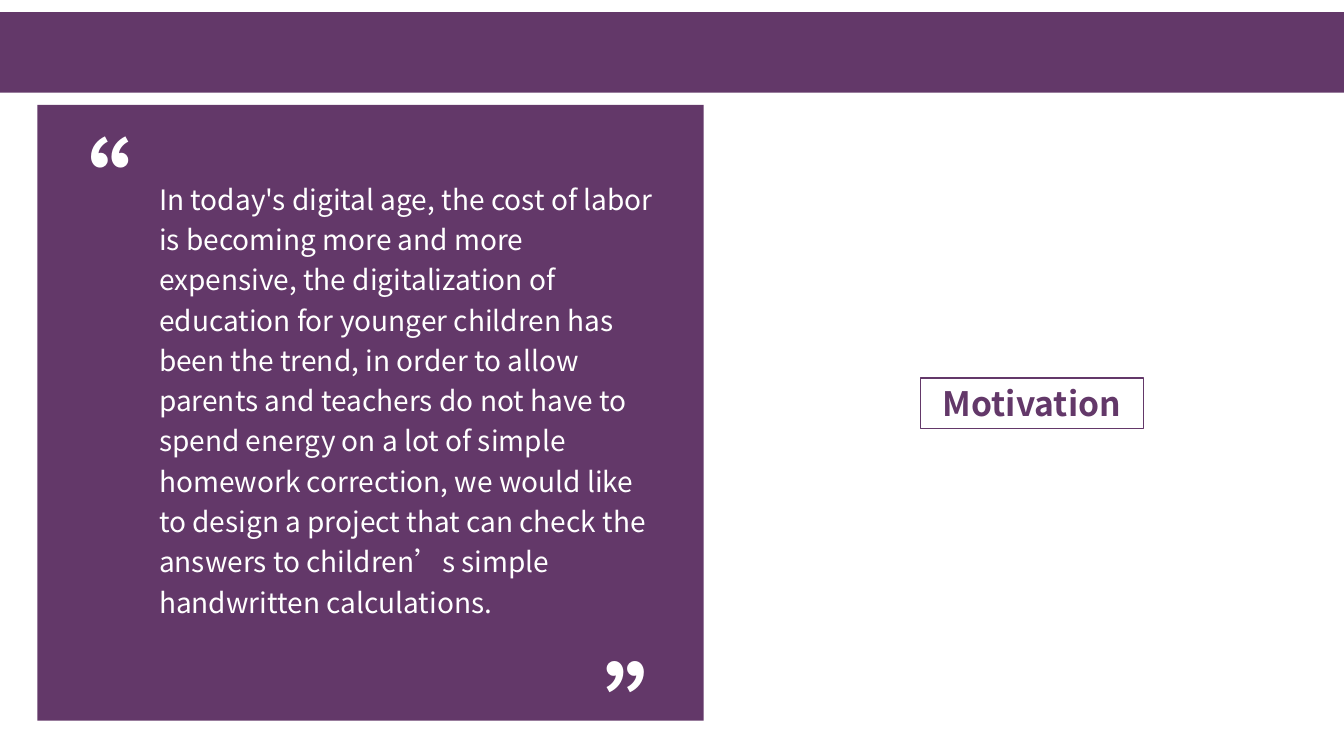
from dataclasses import dataclass

from lxml.etree import SubElement
from pptx import Presentation
from pptx.dml.color import RGBColor
from pptx.enum.shapes import MSO_SHAPE
from pptx.enum.text import MSO_ANCHOR, MSO_AUTO_SIZE, PP_ALIGN
from pptx.oxml.ns import qn
from pptx.util import Inches, Pt


@dataclass(frozen=True)
class Theme:
    purple: RGBColor = RGBColor(0x63, 0x38, 0x69)
    white: RGBColor = RGBColor(0xFF, 0xFF, 0xFF)
    font: str = "Noto Sans CJK SC"
    title_size: int = 24
    body_size: int = 20
    quote_size: int = 72


theme = Theme()


def place(shape, left, top, width, height):
    shape.left, shape.top = Inches(left), Inches(top)
    shape.width, shape.height = Inches(width), Inches(height)


def write(shape, text, size, color, bold, line_height):
    frame = shape.text_frame
    frame.word_wrap = True
    frame.auto_size = MSO_AUTO_SIZE.NONE
    frame.text = text
    paragraph = frame.paragraphs[0]
    paragraph.line_spacing = Pt(line_height)
    font = paragraph.runs[0].font
    font.name, font.size, font.bold = theme.font, Pt(size), bold
    font.color.rgb = color
    SubElement(font._element, qn("a:ea"), typeface=theme.font)


presentation = Presentation()
presentation.slide_width = Inches(13.33)
presentation.slide_height = Inches(7.5)
slide = presentation.slides.add_slide(presentation.slide_layouts[5])

title = slide.shapes.title
place(title, 9.13, 3.75, 2.21, 0.5)
write(title, "Motivation", theme.title_size, theme.purple, True, 28.8)
title.text_frame.vertical_anchor = MSO_ANCHOR.MIDDLE
title.text_frame.paragraphs[0].alignment = PP_ALIGN.CENTER
title.line.color.rgb = theme.purple
title.line.width = Pt(1)

header_band = (0, 0.12, 13.33, 0.8)
quote_panel = (0.37, 1.04, 6.61, 6.11)
for box in (header_band, quote_panel):
    panel = slide.shapes.add_shape(MSO_SHAPE.RECTANGLE, *map(Inches, box))
    panel.shadow.inherit = False
    panel.fill.solid()
    panel.fill.fore_color.rgb = theme.purple
    panel.line.fill.background()

motivation = (
    "In today's digital age, the cost of labor is becoming more and more expensive, "
    "the digitalization of education for younger children has been the trend, in order "
    "to allow parents and teachers do not have to spend energy on a lot of simple "
    "homework correction, we would like to design a project that can check the answers "
    "to children’s simple handwritten calculations."
)
quote_texts = [
    ("“", (0.2, 1.17, 0.78, 0.79), theme.quote_size, True, 86.4),
    ("”", (5.9, 6.37, 1.44, 1.52), theme.quote_size, True, 86.4),
    (motivation, (1.48, 1.69, 5.14, 4.68), theme.body_size, False, 28.8),
]
for text, box, size, bold, line_height in quote_texts:
    text_box = slide.shapes.add_textbox(*map(Inches, box))
    write(text_box, text, size, theme.white, bold, line_height)

presentation.save("out.pptx")
